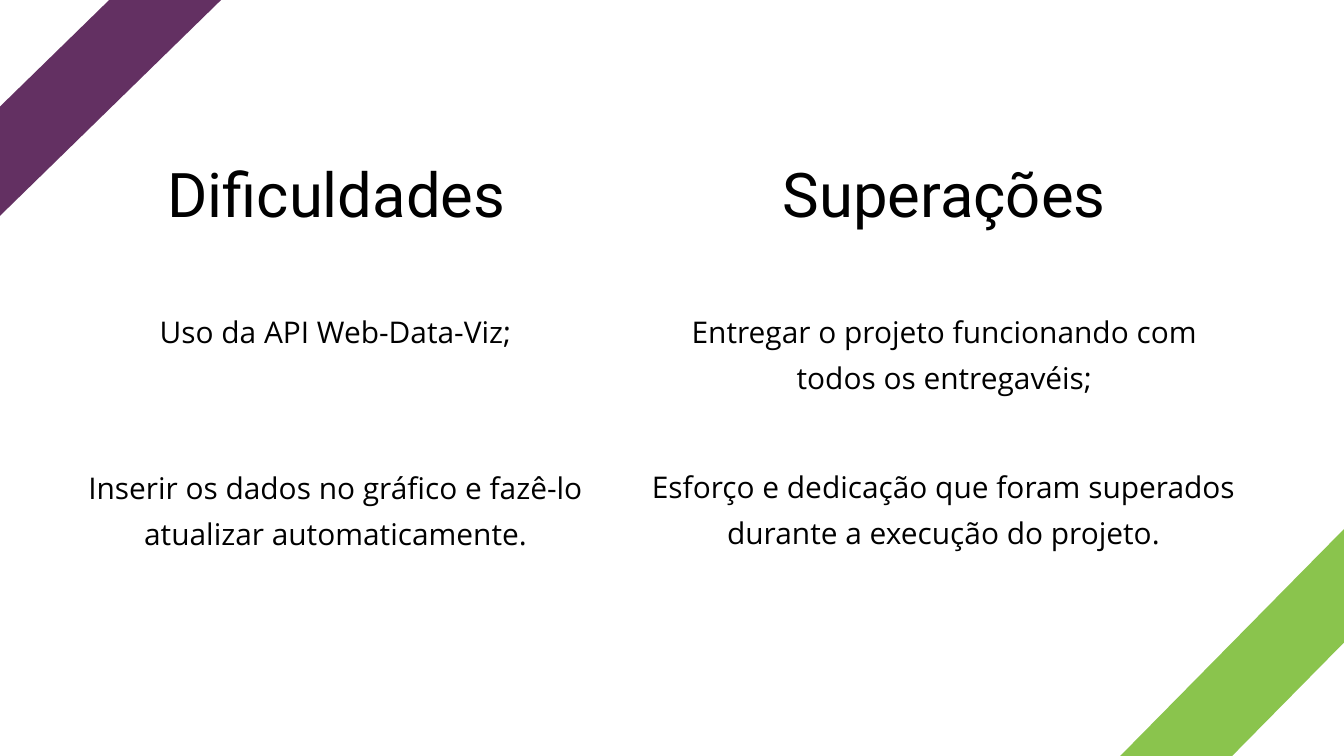
from pptx import Presentation
from pptx.dml.color import RGBColor
from pptx.enum.shapes import MSO_SHAPE
from pptx.enum.text import MSO_ANCHOR, MSO_AUTO_SIZE, PP_ALIGN
from pptx.util import Cm, Pt

COLORS = {"text": "000000", "purple": "633062", "green": "8AC44D"}


def place(sp, left, top, width, height):
    sp.left, sp.top, sp.width, sp.height = Cm(left), Cm(top), Cm(width), Cm(height)


def write(sp, lines, font, size, spacing):
    tf = sp.text_frame
    tf.word_wrap = True
    tf.auto_size = MSO_AUTO_SIZE.NONE
    tf.vertical_anchor = MSO_ANCHOR.TOP
    tf.margin_left = tf.margin_right = tf.margin_top = tf.margin_bottom = 0
    for i, line in enumerate(lines):
        p = tf.add_paragraph() if i else tf.paragraphs[0]
        p.alignment = PP_ALIGN.CENTER
        p.line_spacing = Pt(spacing)
        p.space_before = p.space_after = Pt(0)
        r = p.add_run()
        r.text = line
        r.font.name = font
        r.font.size = Pt(size)
        r.font.color.rgb = RGBColor.from_string(COLORS["text"])


prs = Presentation()
prs.slide_width, prs.slide_height = Cm(50.8), Cm(28.58)
s = prs.slides.add_slide(prs.slide_layouts[5])

title = s.shapes.title
subtitle = s.shapes.add_textbox(0, 0, 0, 0)
for sp, left, heading in [(title, -1.85, "Dificuldades"), (subtitle, 21.13, "Superações")]:
    place(sp, left, 4.98, 29.13, 3.4)
    write(sp, [heading], "Roboto", 66, 105)

items = [
    (5.41, 11.48, 14.55, 1.6, ["Uso da API Web-Data-Viz;"]),
    (2.11, 17.4, 21.16, 3.35,
     ["Inserir os dados no gráfico e fazê-lo atualizar automaticamente."]),
    (25.07, 11.5, 21.26, 3.38,
     ["Entregar o projeto funcionando com", "todos os entregavéis;"]),
    (23.95, 17.35, 23.44, 3.38,
     ["Esforço e dedicação que foram superados", "durante a execução do projeto."]),
]
for left, top, width, height, lines in items:
    sp = s.shapes.add_textbox(0, 0, 0, 0)
    place(sp, left, top, width, height)
    write(sp, lines, "Open Sans", 32, 49)

stripes = [
    (0, -0.1, 8.46, 8.26, 0, "purple"),
    (42.34, 20, 8.46, 8.58, 180, "green"),
]
for left, top, width, height, rotation, color in stripes:
    sp = s.shapes.add_shape(MSO_SHAPE.DIAGONAL_STRIPE, 0, 0, 0, 0)
    place(sp, left, top, width, height)
    sp.rotation = rotation
    sp.shadow.inherit = False
    sp.fill.solid()
    sp.fill.fore_color.rgb = RGBColor.from_string(COLORS[color])
    sp.line.fill.background()

prs.save("out.pptx")
